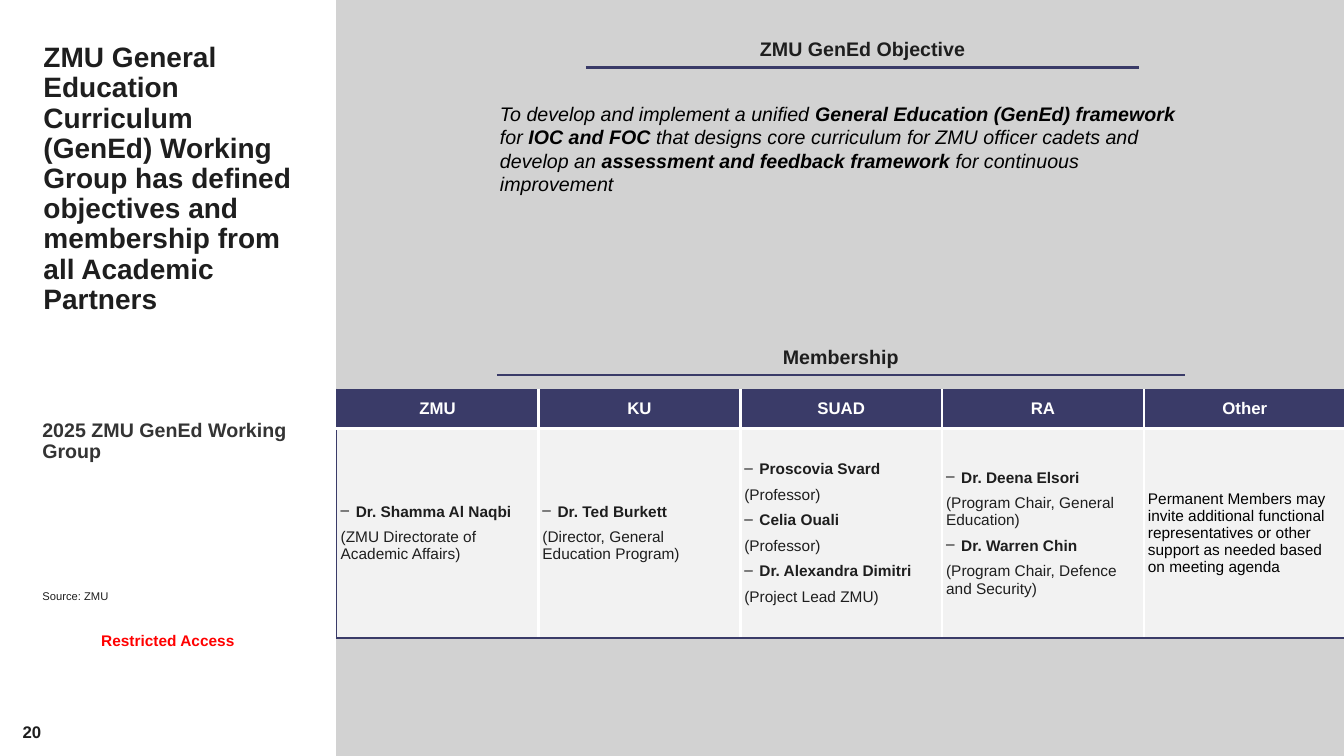
import pptx
import pptx.util
import pptx.oxml.ns
from lxml import etree
from pptx.dml.color import RGBColor
from pptx.enum.shapes import MSO_CONNECTOR, MSO_SHAPE
from pptx.enum.text import MSO_ANCHOR, PP_ALIGN

NAVY = RGBColor(0x3A, 0x3B, 0x68)
INK = RGBColor(0x1E, 0x1E, 0x1E)
SLATE = RGBColor(0x34, 0x34, 0x34)
BLACK = RGBColor(0, 0, 0)
WHITE = RGBColor(0xFF, 0xFF, 0xFF)
RED = RGBColor(0xFF, 0, 0)
GREY = RGBColor(0xD2, 0xD2, 0xD2)
PALE = RGBColor(0xF2, 0xF2, 0xF2)

qn = pptx.oxml.ns.qn
Pt = pptx.util.Pt
prs = pptx.Presentation()
prs.slide_width = pptx.util.Inches(13.33)
prs.slide_height = pptx.util.Inches(7.5)
COL, ROW = prs.slide_width / 100, prs.slide_height / 100  # 100 x 100 grid

s = prs.slides.add_slide(prs.slide_layouts[6])
s.background.fill.solid()
s.background.fill.fore_color.rgb = GREY

panel = s.shapes.add_shape(MSO_SHAPE.RECTANGLE, 0, 0, int(25 * COL), prs.slide_height)
panel.shadow.inherit = False
panel.fill.solid()
panel.fill.fore_color.rgb = WHITE
panel.line.fill.background()


def add_run(p, text, size, color, **font):
    r = p.add_run()
    r.text = text
    r.font.color.rgb = color
    for name, value in {"name": "Arial", "size": Pt(size), **font}.items():
        setattr(r.font, name, value)


def add_text(x, y, w, h, text, size, color, bold=True, align=PP_ALIGN.LEFT,
             anchor=MSO_ANCHOR.TOP, wrap=True, spacing=0.9):
    """Place a one-paragraph text box without margins, in grid columns and rows."""
    tf = s.shapes.add_textbox(int(x * COL), int(y * ROW), int(w * COL), int(h * ROW)).text_frame
    tf.margin_left = tf.margin_right = tf.margin_top = tf.margin_bottom = 0
    tf.word_wrap, tf.vertical_anchor = wrap, anchor
    p = tf.paragraphs[0]
    p.alignment, p.line_spacing = align, spacing
    add_run(p, text, size, color, bold=bold)


# Left panel
add_text(1.43, 83.73, 22.13, 2.27, "Restricted Access", 11, RED, align=PP_ALIGN.CENTER)
add_text(0.9, 96.13, 2.18, 2, "20", 12, INK, align=PP_ALIGN.RIGHT,
         anchor=MSO_ANCHOR.BOTTOM, wrap=False, spacing=1.0)
add_text(3.23, 5.73, 18.68, 33.2,
         "ZMU General Education Curriculum (GenEd) Working Group has defined "
         "objectives and membership from all Academic Partners", 20, INK)
add_text(3.15, 66.4, 18.75, 13.33, "Source: ZMU", 8, INK, bold=False, anchor=MSO_ANCHOR.BOTTOM)
add_text(3.15, 55.6, 18.75, 10.8, "2025 ZMU GenEd Working Group", 14, SLATE)

# Underlined headings
for heading, x, y, w in [("ZMU GenEd Objective", 43.59, 3.73, 41.19),
                         ("Membership", 36.98, 44.4, 51.16)]:
    add_text(x, y, w, 5.87, heading, 14, INK, align=PP_ALIGN.CENTER, anchor=MSO_ANCHOR.MIDDLE)
    rule_y = int((y + 5.2) * ROW)
    rule = s.shapes.add_connector(MSO_CONNECTOR.STRAIGHT, int(x * COL), rule_y,
                                  int((x + w) * COL), rule_y)
    rule.line.color.rgb = NAVY
    rule.line.width = Pt(1.5)
    etree.SubElement(rule._element.spPr, qn("a:effectLst"))

# Objective
tf = s.shapes.add_textbox(int(36.46 * COL), int(12.8 * ROW),
                          int(52.21 * COL), int(20.13 * ROW)).text_frame
tf.word_wrap = True
for text, bold in [("To develop and implement a unified ", False),
                   ("General Education (GenEd) framework ", True),
                   ("for ", False),
                   ("IOC and FOC", True),
                   (" that designs core curriculum for ZMU officer cadets and develop an ", False),
                   ("assessment and feedback framework", True),
                   (" for continuous improvement", False)]:
    add_run(tf.paragraphs[0], text, 14, BLACK, bold=bold, italic=True)

# Membership table: (name, role) pairs, or a plain note where there is no name
MEMBERS = {
    "ZMU": [("Dr. Shamma Al Naqbi", "(ZMU Directorate of Academic Affairs)")],
    "KU": [("Dr. Ted Burkett", "(Director, General Education Program)")],
    "SUAD": [("Proscovia Svard", "(Professor)"),
             ("Celia Ouali", "(Professor)"),
             ("Dr. Alexandra Dimitri", "(Project Lead ZMU)")],
    "RA": [("Dr. Deena Elsori", "(Program Chair, General Education)"),
           ("Dr. Warren Chin", "(Program Chair, Defence and Security)")],
    "Other": [("", "Permanent Members may invite additional functional representatives "
                   "or other support as needed based on meeting agenda")],
}
ROWS = [5.2, 27.73]
last = len(MEMBERS) - 1
frame = s.shapes.add_table(2, len(MEMBERS), int(25.05 * COL), int(51.47 * ROW),
                           int(75.08 * COL), int(sum(ROWS) * ROW))
table = frame.table
table.first_row = table.horz_banding = False
for row, height in zip(table.rows, ROWS):
    row.height = int(height * ROW)

for c, (group, members) in enumerate(MEMBERS.items()):
    for r, fill, margin in [(0, NAVY, 0.08), (1, PALE, 0.04)]:
        cell = table.cell(r, c)
        cell.vertical_anchor = MSO_ANCHOR.MIDDLE
        cell.margin_left = cell.margin_right = pptx.util.Inches(margin)
        cell.margin_top = cell.margin_bottom = 0
        tcPr = cell._tc.get_or_add_tcPr()
        for side, outer in [("L", c == 0), ("R", c == last), ("T", r == 0), ("B", r == 1)]:
            width, color = (1, NAVY) if outer else (2.25, WHITE)
            ln = etree.SubElement(tcPr, qn("a:ln" + side), w=str(Pt(width)))
            paint = etree.SubElement(ln, qn("a:solidFill"))
            etree.SubElement(paint, qn("a:srgbClr"), val=str(color))
        cell.fill.solid()
        cell.fill.fore_color.rgb = fill

    p = table.cell(0, c).text_frame.paragraphs[0]
    p.alignment = PP_ALIGN.CENTER
    add_run(p, group, 12, WHITE, bold=True)

    tf = table.cell(1, c).text_frame
    lines = [(text, is_name) for pair in members
             for text, is_name in zip(pair, (True, False)) if text]
    for i, (text, is_name) in enumerate(lines):
        p = tf.add_paragraph() if i else tf.paragraphs[0]
        p.space_after = Pt(6)
        if is_name:
            pPr = p._p.get_or_add_pPr()
            indent = pptx.util.Inches(0.15)
            pPr.set("marL", str(indent))
            pPr.set("indent", str(-indent))
            tint = etree.SubElement(pPr, qn("a:buClr"))
            etree.SubElement(tint, qn("a:srgbClr"), val=str(INK))
            etree.SubElement(pPr, qn("a:buChar"), char="–")
        add_run(p, text, 11, BLACK if c == last else INK, bold=is_name)

prs.save("out.pptx")
